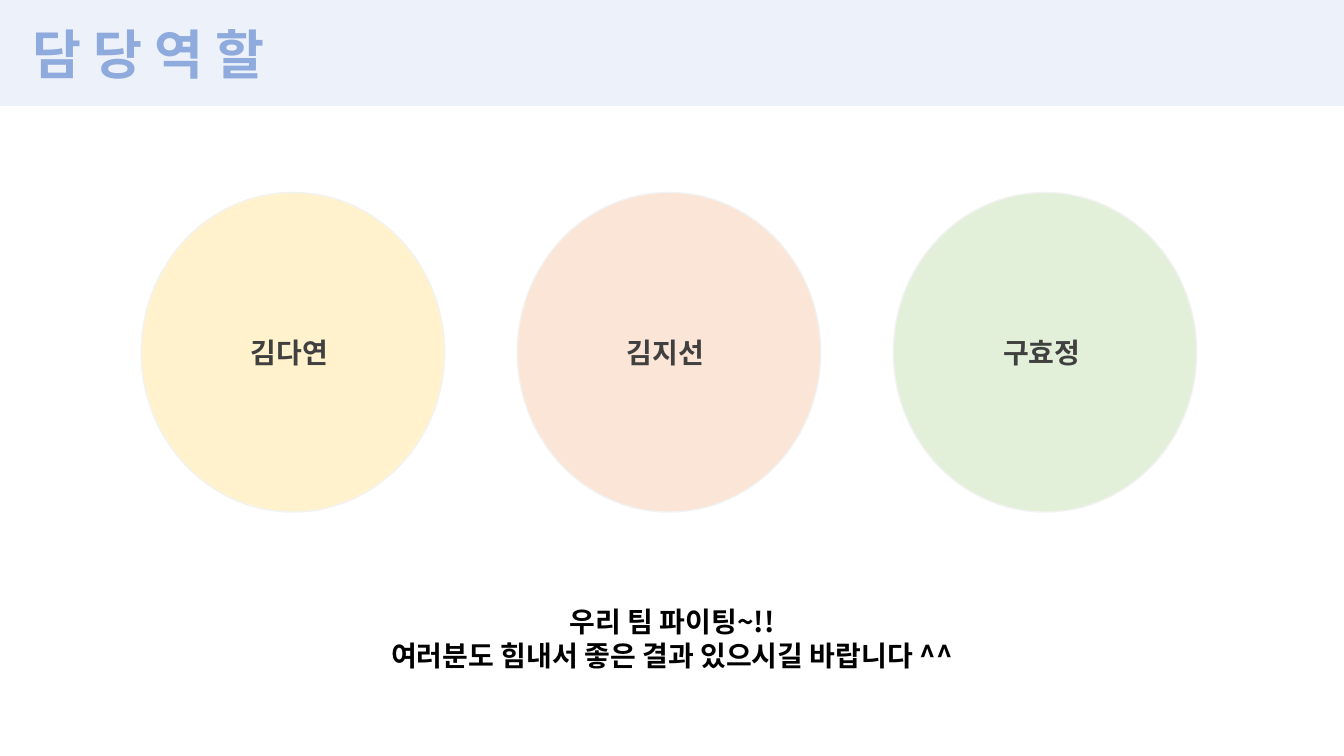
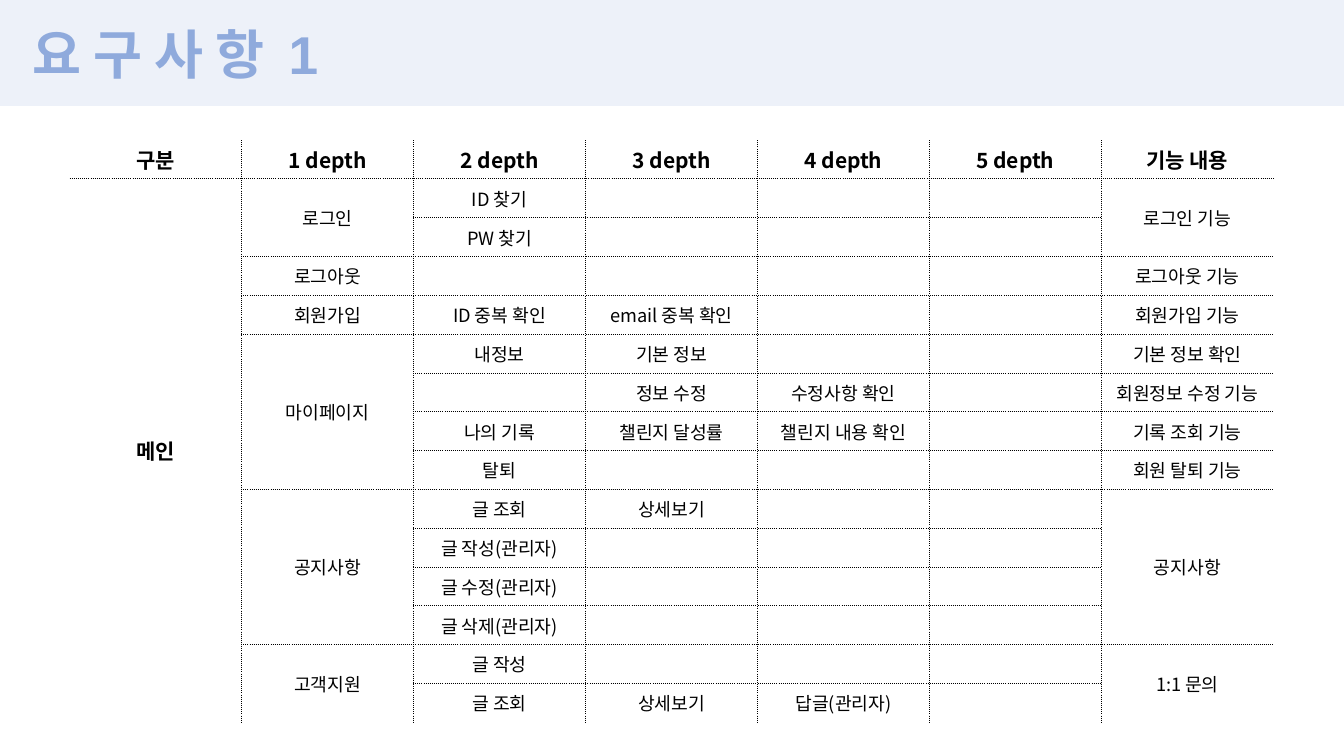
from lxml.etree import SubElement
from pptx import Presentation
from pptx.dml.color import RGBColor
from pptx.enum.shapes import MSO_SHAPE
from pptx.enum.text import MSO_ANCHOR, MSO_AUTO_SIZE, PP_ALIGN
from pptx.oxml.ns import qn
from pptx.util import Inches, Pt

PALE_BLUE = RGBColor(0xED, 0xF1, 0xF9)
TITLE_BLUE = RGBColor(0x8F, 0xAA, 0xDC)
BLACK = RGBColor(0x00, 0x00, 0x00)
DARK_GRAY = RGBColor(0x40, 0x40, 0x40)
OUTLINE_GRAY = RGBColor(0xF2, 0xF2, 0xF2)
CREAM = RGBColor(0xFF, 0xF2, 0xCC)
PEACH = RGBColor(0xFB, 0xE5, 0xD6)
MINT = RGBColor(0xE2, 0xF0, 0xD9)

KOREAN_FONT = "Noto Sans CJK KR"
TITLE_FONT = "Arial"
PLAIN_TABLE_STYLE = "{2D5ABB26-0587-4C30-8999-92F81FD0307C}"

SLIDE_WIDTH, SLIDE_HEIGHT = Inches(13.33), Inches(7.5)
BAND_HEIGHT = Inches(1.05)

MEMBERS = (("김다연", CREAM), ("김지선", PEACH), ("구효정", MINT))
CHEER = ("우리 팀 파이팅~!!", "여러분도 힘내서 좋은 결과 있으시길 바랍니다 ^^")

# None continues the cell above.
REQUIREMENTS = (
    ("구분", "1 depth", "2 depth", "3 depth", "4 depth", "5 depth", "기능 내용"),
    ("메인", "로그인", "ID 찾기", "", "", "", "로그인 기능"),
    (None, None, "PW 찾기", "", "", "", None),
    (None, "로그아웃", "", "", "", "", "로그아웃 기능"),
    (None, "회원가입", "ID 중복 확인", "email 중복 확인", "", "", "회원가입 기능"),
    (None, "마이페이지", "내정보", "기본 정보", "", "", "기본 정보 확인"),
    (None, None, "", "정보 수정", "수정사항 확인", "", "회원정보 수정 기능"),
    (None, None, "나의 기록", "챌린지 달성률", "챌린지 내용 확인", "", "기록 조회 기능"),
    (None, None, "탈퇴", "", "", "", "회원 탈퇴 기능"),
    (None, "공지사항", "글 조회", "상세보기", "", "", "공지사항"),
    (None, None, "글 작성(관리자)", "", "", "", None),
    (None, None, "글 수정(관리자)", "", "", "", None),
    (None, None, "글 삭제(관리자)", "", "", "", None),
    (None, "고객지원", "글 작성", "", "", "", "1:1 문의"),
    (None, None, "글 조회", "상세보기", "답글(관리자)", "", None),
)


def style_paragraph(paragraph, size, color, bold=True, name=KOREAN_FONT, align=PP_ALIGN.LEFT):
    paragraph.alignment = align
    font = paragraph.font
    font.name, font.size, font.bold = name, Pt(size), bold
    font.color.rgb = color
    SubElement(font._rPr, qn("a:ea"), typeface=KOREAN_FONT)


def add_label(slide, left, top, width, height, lines, size, color, **style):
    """Add an unwrapped text box with one paragraph per line."""
    box = slide.shapes.add_textbox(left, top, width, height)
    frame = box.text_frame
    frame.word_wrap = False
    frame.auto_size = MSO_AUTO_SIZE.SHAPE_TO_FIT_TEXT
    frame.text = "\n".join(lines)
    for paragraph in frame.paragraphs:
        style_paragraph(paragraph, size, color, **style)


def add_filled_shape(slide, kind, left, top, width, height, fill, line=None):
    shape = slide.shapes.add_shape(kind, left, top, width, height)
    shape.shadow.inherit = False
    shape.fill.solid()
    shape.fill.fore_color.rgb = fill
    if line is None:
        shape.line.fill.background()
    else:
        shape.line.color.rgb = line
        shape.line.width = Pt(1)


def add_titled_slide(deck, title, title_width):
    """Add a blank slide with the title band across its top."""
    slide = deck.slides.add_slide(deck.slide_layouts[6])
    add_filled_shape(slide, MSO_SHAPE.RECTANGLE, 0, 0, SLIDE_WIDTH, BAND_HEIGHT, PALE_BLUE)
    add_label(slide, Inches(0.22), Inches(0.16), title_width, Inches(0.74),
              [title], 38, TITLE_BLUE, name=TITLE_FONT)
    return slide


def add_member(slide, left, top, name, fill):
    add_filled_shape(slide, MSO_SHAPE.OVAL, left, top, Inches(3.01), Inches(3.17),
                     fill, OUTLINE_GRAY)
    add_label(slide, left + Inches(0.99), top + Inches(1.37), Inches(1.04), Inches(0.44),
              [name], 20, DARK_GRAY)


def add_roles_slide(deck):
    slide = add_titled_slide(deck, "담 당 역 할", Inches(2.9))
    for index, (name, fill) in enumerate(MEMBERS):
        add_member(slide, Inches(1.4) + index * Inches(3.73), Inches(1.91), name, fill)
    add_label(slide, Inches(3.41), Inches(5.95), Inches(6.51), Inches(0.77),
              CHEER, 20, BLACK, align=PP_ALIGN.CENTER)


def add_cell_border(cell, side, visible):
    line = SubElement(cell._tc.get_or_add_tcPr(), qn(f"a:ln{side}"), w=str(Pt(0.75)))
    if not visible:
        SubElement(line, qn("a:noFill"))
        return
    fill = SubElement(line, qn("a:solidFill"))
    SubElement(fill, qn("a:srgbClr"), val=str(BLACK))
    SubElement(line, qn("a:prstDash"), val="sysDot")


def fill_cell(cell, text, size, bold):
    cell.text = text
    cell.vertical_anchor = MSO_ANCHOR.MIDDLE
    cell.margin_left = cell.margin_right = Inches(0.03)
    cell.margin_top = cell.margin_bottom = Inches(0.02)
    paragraph = cell.text_frame.paragraphs[0]
    style_paragraph(paragraph, size, BLACK, bold, align=PP_ALIGN.CENTER)
    if not text:
        SubElement(paragraph._p, qn("a:endParaRPr"), sz=str(size * 100))


def span_below(rows, row, column):
    """Count the rows that the cell covers."""
    end = row + 1
    while end < len(rows) and rows[end][column] is None:
        end += 1
    return end - row


def add_requirements_table(slide, left, top, width, height, rows):
    row_count, column_count = len(rows), len(rows[0])
    table = slide.shapes.add_table(row_count, column_count, left, top, width, height).table
    table.first_row = table.horz_banding = False
    table._tbl.tblPr.find(qn("a:tableStyleId")).text = PLAIN_TABLE_STYLE
    for table_column in table.columns:
        table_column.width = width // column_count
    for table_row in table.rows:
        table_row.height = height // row_count

    for row, texts in enumerate(rows):
        for column, text in enumerate(texts):
            cell = table.cell(row, column)
            heading = row == 0 or column == 0
            fill_cell(cell, text or "", 15 if heading else 13, heading)
            if text is not None:
                span = span_below(rows, row, column)
                if span > 1:
                    cell.merge(table.cell(row + span - 1, column))
                add_cell_border(cell, "L", column > 0)
                add_cell_border(cell, "R", column < column_count - 1)
                add_cell_border(cell, "T", row > 0)
                add_cell_border(cell, "B", row + span < row_count)
            cell.fill.background()


def add_requirements_slide(deck):
    slide = add_titled_slide(deck, "요 구 사 항  1", Inches(3.54))
    add_requirements_table(slide, Inches(0.69), Inches(1.39), Inches(11.94), Inches(5.78),
                           REQUIREMENTS)


def main():
    deck = Presentation()
    deck.slide_width, deck.slide_height = SLIDE_WIDTH, SLIDE_HEIGHT
    add_roles_slide(deck)
    add_requirements_slide(deck)
    deck.save("out.pptx")


if __name__ == "__main__":
    main()
